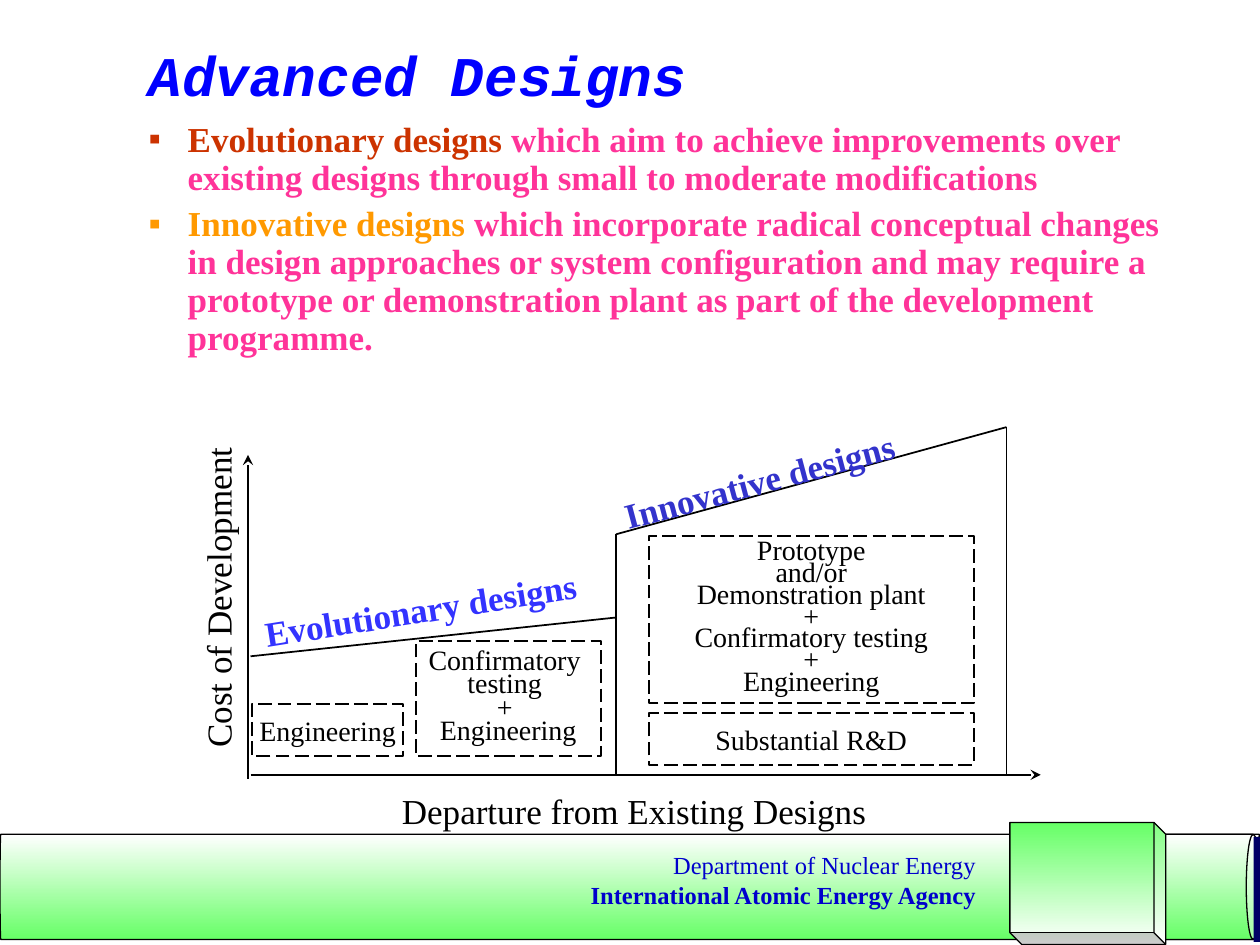
"""Build the Advanced Designs slide with its cost and departure diagram."""
from lxml.etree import SubElement
from pptx import Presentation
from pptx.dml.color import RGBColor
from pptx.enum.dml import MSO_LINE
from pptx.enum.shapes import MSO_CONNECTOR, MSO_SHAPE
from pptx.enum.text import MSO_ANCHOR, MSO_AUTO_SIZE, PP_ALIGN
from pptx.oxml.ns import qn
from pptx.util import Cm, Pt

BLACK = RGBColor(0x00, 0x00, 0x00)
WHITE = RGBColor(0xFF, 0xFF, 0xFF)
GREEN = RGBColor(0x66, 0xFF, 0x66)
NAVY = RGBColor(0x00, 0x00, 0x66)
FOOTER_BLUE = RGBColor(0x00, 0x00, 0xCC)
TITLE_BLUE = RGBColor(0x00, 0x00, 0xFF)
INNOVATIVE_BLUE = RGBColor(0x33, 0x33, 0xCC)
EVOLUTIONARY_BLUE = RGBColor(0x33, 0x33, 0xFF)
RED = RGBColor(0xCC, 0x33, 0x00)
ORANGE = RGBColor(0xFF, 0x99, 0x00)
PINK = RGBColor(0xFF, 0x33, 0x99)


def add_text(paragraph, text, *, size=16, color=BLACK, bold=False, italic=False,
             name="Times New Roman"):
    run = paragraph.add_run()
    run.text = text
    run.font.name = name
    run.font.size = Pt(size)
    run.font.bold = bold
    run.font.italic = italic
    run.font.color.rgb = color


def prepare_frame(shape, *, anchor=MSO_ANCHOR.MIDDLE, wrap=False):
    frame = shape.text_frame
    frame.auto_size = MSO_AUTO_SIZE.NONE
    frame.word_wrap = wrap
    frame.vertical_anchor = anchor
    return frame


presentation = Presentation()
presentation.slide_width = Cm(25.4)
presentation.slide_height = Cm(19.05)
slide = presentation.slides.add_slide(presentation.slide_layouts[1])
shapes = slide.shapes

footer_parts = [
    (MSO_SHAPE.CAN, (11.64, 5.18, 2.12, 25.4), 90, 0.014),
    (MSO_SHAPE.CAN, (23.28, 16.82, 2.12, 2.12), 90, 0.131),
    (MSO_SHAPE.RECTANGLE, (25.27, 16.87, 0.13, 2.12), 0, None),
    (MSO_SHAPE.CUBE, (20.7, 16.24, 2.46, 3.14), 270, 0.096),
]
for kind, place, rotation, adjustment in footer_parts:
    shape = shapes.add_shape(kind, *map(Cm, place))
    shape.shadow.inherit = False
    shape.rotation = rotation
    if kind == MSO_SHAPE.RECTANGLE:
        shape.fill.solid()
        shape.fill.fore_color.rgb = NAVY
        shape.line.fill.background()
        continue
    shape.adjustments[0] = adjustment
    shape.line.color.rgb = BLACK
    shape.line.width = Pt(0.75)
    shape.fill.gradient()
    shape.fill.gradient_angle = 270
    for stop, color, position in zip(shape.fill.gradient_stops, (WHITE, GREEN), (0, 1)):
        stop.color.rgb = color
        stop.position = position
    properties = shape._element.spPr
    properties.find(qn("a:gradFill")).set("rotWithShape", "0")
    if kind == MSO_SHAPE.CUBE:
        properties.xfrm.set("flipH", "1")
        properties.xfrm.set("flipV", "1")

footer = shapes.add_textbox(Cm(11.63), Cm(17.02), Cm(8.3), Cm(1.5))
frame = prepare_frame(footer, anchor=MSO_ANCHOR.TOP, wrap=True)
paragraph = frame.paragraphs[0]
paragraph.alignment = PP_ALIGN.RIGHT
add_text(paragraph, "Department of Nuclear Energy", size=14, color=FOOTER_BLUE)
paragraph = frame.add_paragraph()
paragraph.alignment = PP_ALIGN.RIGHT
add_text(paragraph, "International Atomic Energy Agency", size=14, color=FOOTER_BLUE, bold=True)

title = shapes.title
title.left, title.top, title.width, title.height = map(Cm, (2.74, 0.64, 12.06, 1.7))
paragraph = prepare_frame(title, wrap=True).paragraphs[0]
paragraph.alignment = PP_ALIGN.LEFT
add_text(paragraph, "Advanced Designs", size=32, color=TITLE_BLUE, bold=True, italic=True,
         name="Courier New")

body = slide.placeholders[1]
body.left, body.top, body.width, body.height = map(Cm, (1.47, 2.34, 22.22, 5.28))
frame = prepare_frame(body, anchor=MSO_ANCHOR.TOP, wrap=True)
definitions = [
    ("Evolutionary designs ", RED,
     "which aim to achieve improvements over existing designs through small to "
     "moderate modifications"),
    ("Innovative designs ", ORANGE,
     "which incorporate radical conceptual changes in design approaches or system "
     "configuration and may require a prototype or demonstration plant as part of "
     "the development programme."),
]
for index, (term, color, definition) in enumerate(definitions):
    paragraph = frame.add_paragraph() if index else frame.paragraphs[0]
    paragraph.level = 1
    properties = paragraph._p.get_or_add_pPr()
    properties.set("marL", str(Cm(2.06)))
    properties.set("indent", str(Cm(-0.79)))
    bullet_color = SubElement(properties, qn("a:buClr"))
    SubElement(bullet_color, qn("a:srgbClr")).set("val", str(color))
    SubElement(properties, qn("a:buFont")).set("typeface", "Times New Roman")
    SubElement(properties, qn("a:buChar")).set("char", "▪")
    paragraph.line_spacing = 0.9
    paragraph.space_before = Pt(5 * index)
    add_text(paragraph, term, size=20, color=color, bold=True)
    add_text(paragraph, definition, size=20, color=PINK, bold=True)

diagram_lines = [
    ((5.05, 15.62), (20.98, 15.62), True),
    ((5, 15.7), (5, 9.17), True),
    ((20.29, 8.61), (20.29, 15.62), False),
    ((12.4, 12.45), (5.05, 13.23), False),
    ((20.29, 8.61), (12.42, 10.77), False),
    ((12.42, 10.77), (12.42, 15.62), False),
]
for start, end, is_axis in diagram_lines:
    connector = shapes.add_connector(MSO_CONNECTOR.STRAIGHT, *map(Cm, start + end))
    connector.line.color.rgb = BLACK
    connector.line.width = Pt(1)
    if is_axis:
        SubElement(connector.line._get_or_add_ln(), qn("a:tailEnd")).set("type", "stealth")
    SubElement(connector._element.spPr, qn("a:effectLst"))

range_labels = [
    ("Innovative designs", (12.14, 8.26, 12.83, 1.09), 345, INNOVATIVE_BLUE),
    ("Evolutionary designs", (5.05, 11.66, 7.75, 1.09), 351, EVOLUTIONARY_BLUE),
]
for text, place, rotation, color in range_labels:
    label = shapes.add_textbox(*map(Cm, place))
    label.rotation = rotation
    paragraph = prepare_frame(label, anchor=MSO_ANCHOR.TOP, wrap=True).paragraphs[0]
    add_text(paragraph, text, size=20, color=color, bold=True)

axis_labels = [
    ("Cost of Development", (0.69, 11.46, 7.39, 1.17), 270),
    ("Departure from Existing Designs", (7.26, 15.8, 11.05, 1.07), 0),
]
for text, place, rotation in axis_labels:
    label = shapes.add_textbox(*map(Cm, place))
    label.rotation = rotation
    paragraph = prepare_frame(label).paragraphs[0]
    paragraph.alignment = PP_ALIGN.CENTER
    add_text(paragraph, text, size=20)

effort_boxes = [
    (["Engineering"], (5.08, 14.2, 3.05, 1.04), 1.0),
    (["Confirmatory ", "testing ", "+ ", "Engineering"], (8.38, 12.93, 3.73, 2.31), 0.7),
    (["Prototype", "and/or", "Demonstration plant", "+", "Confirmatory testing", "+",
      "Engineering"], (13.08, 10.8, 6.55, 3.38), 0.65),
    (["Substantial R&D"], (13.08, 14.38, 6.55, 1.04), 1.0),
]
for lines, place, spacing in effort_boxes:
    box = shapes.add_shape(MSO_SHAPE.RECTANGLE, *map(Cm, place))
    box.shadow.inherit = False
    box.fill.background()
    box.line.color.rgb = BLACK
    box.line.width = Pt(1)
    box.line.dash_style = MSO_LINE.LONG_DASH
    frame = prepare_frame(box)
    for index, text in enumerate(lines):
        paragraph = frame.add_paragraph() if index else frame.paragraphs[0]
        paragraph.alignment = PP_ALIGN.CENTER
        paragraph.line_spacing = spacing
        add_text(paragraph, text)

presentation.save("out.pptx")
